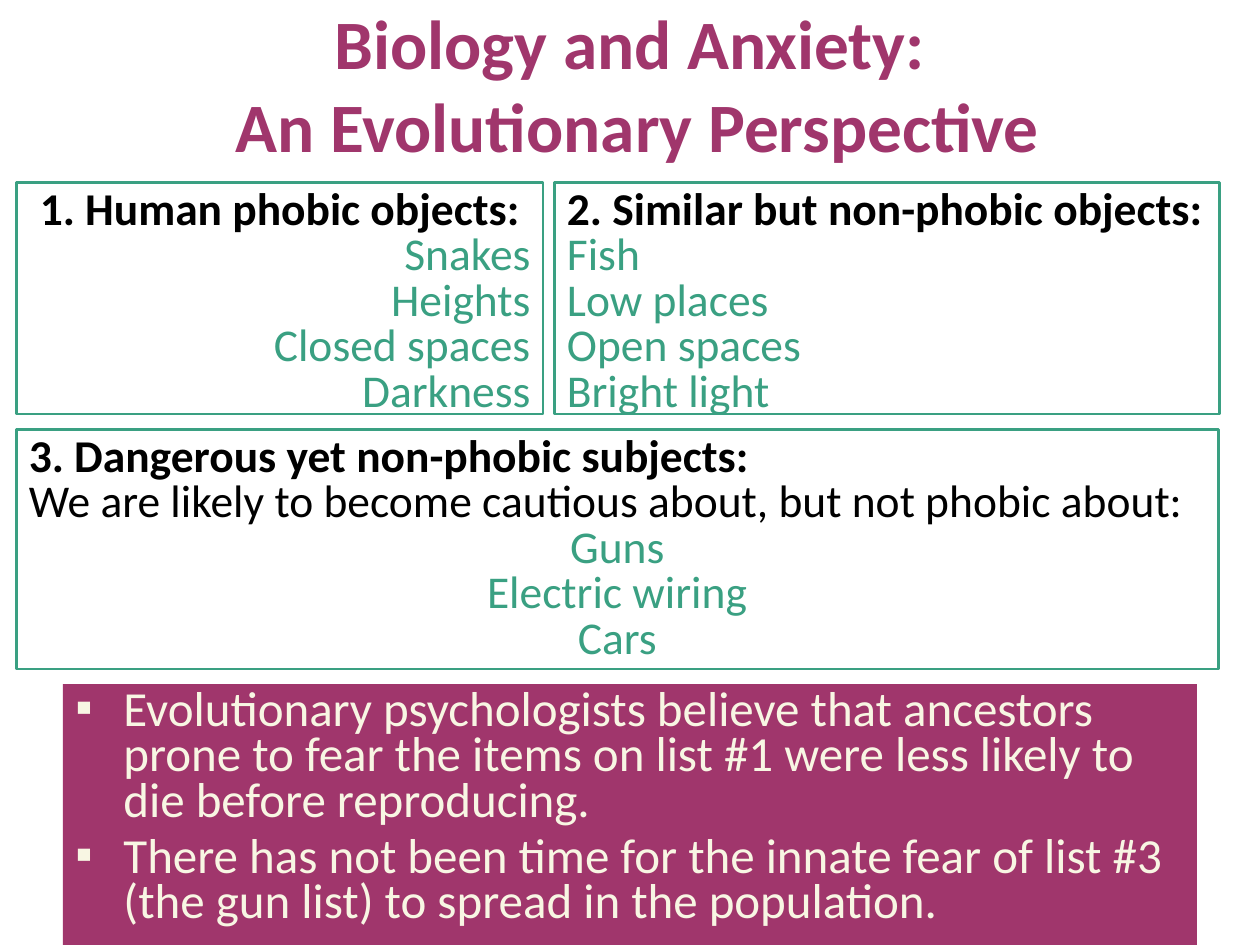
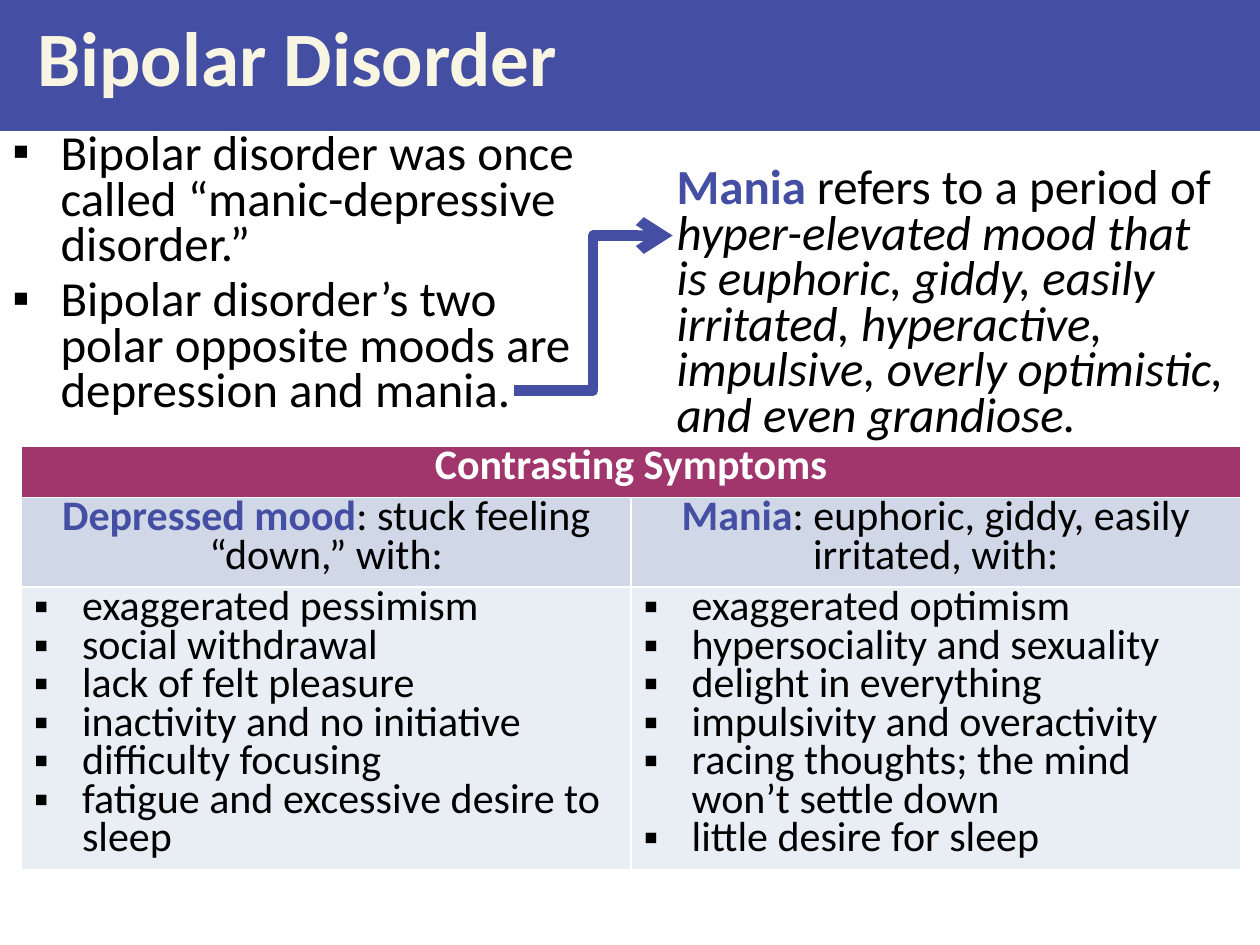
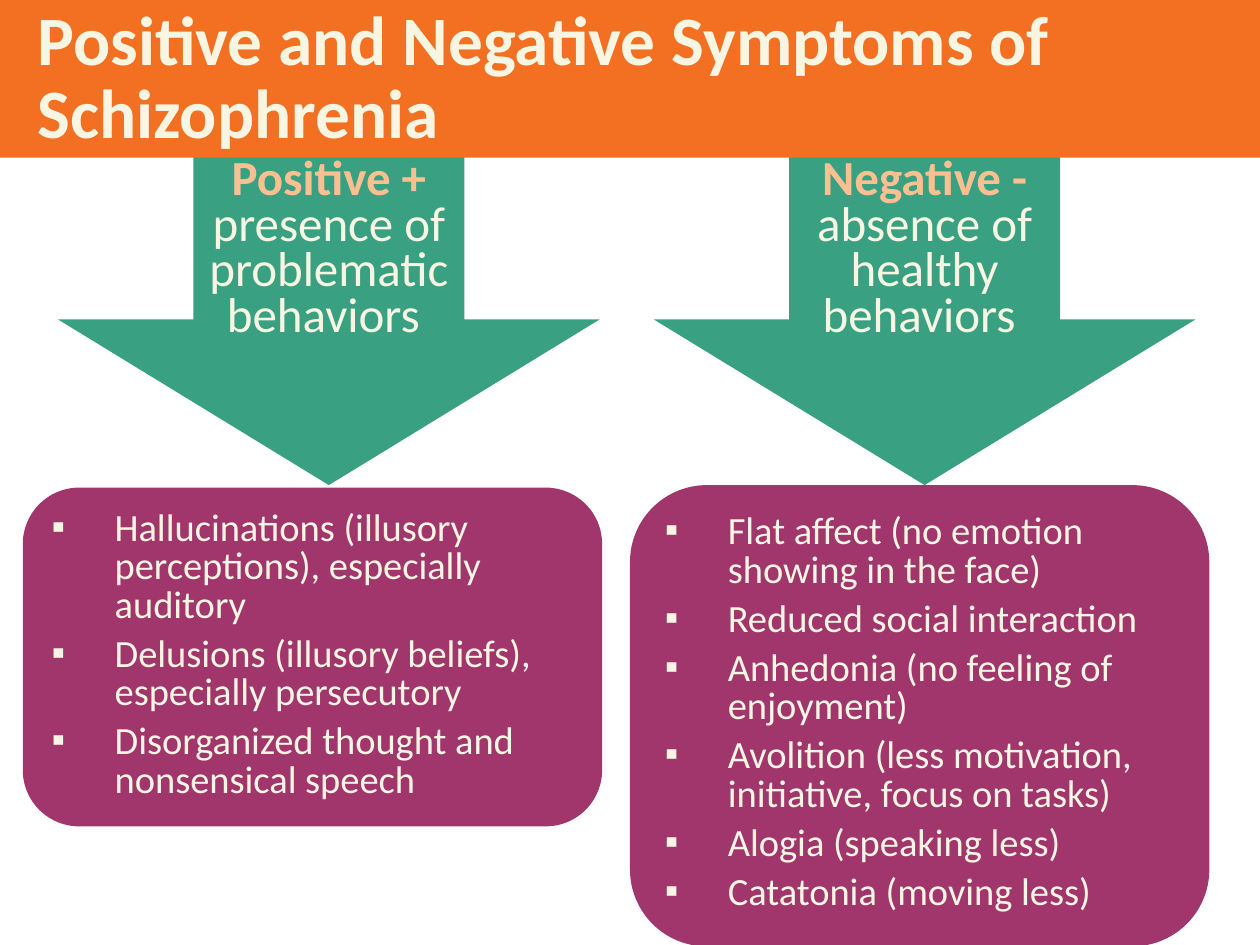
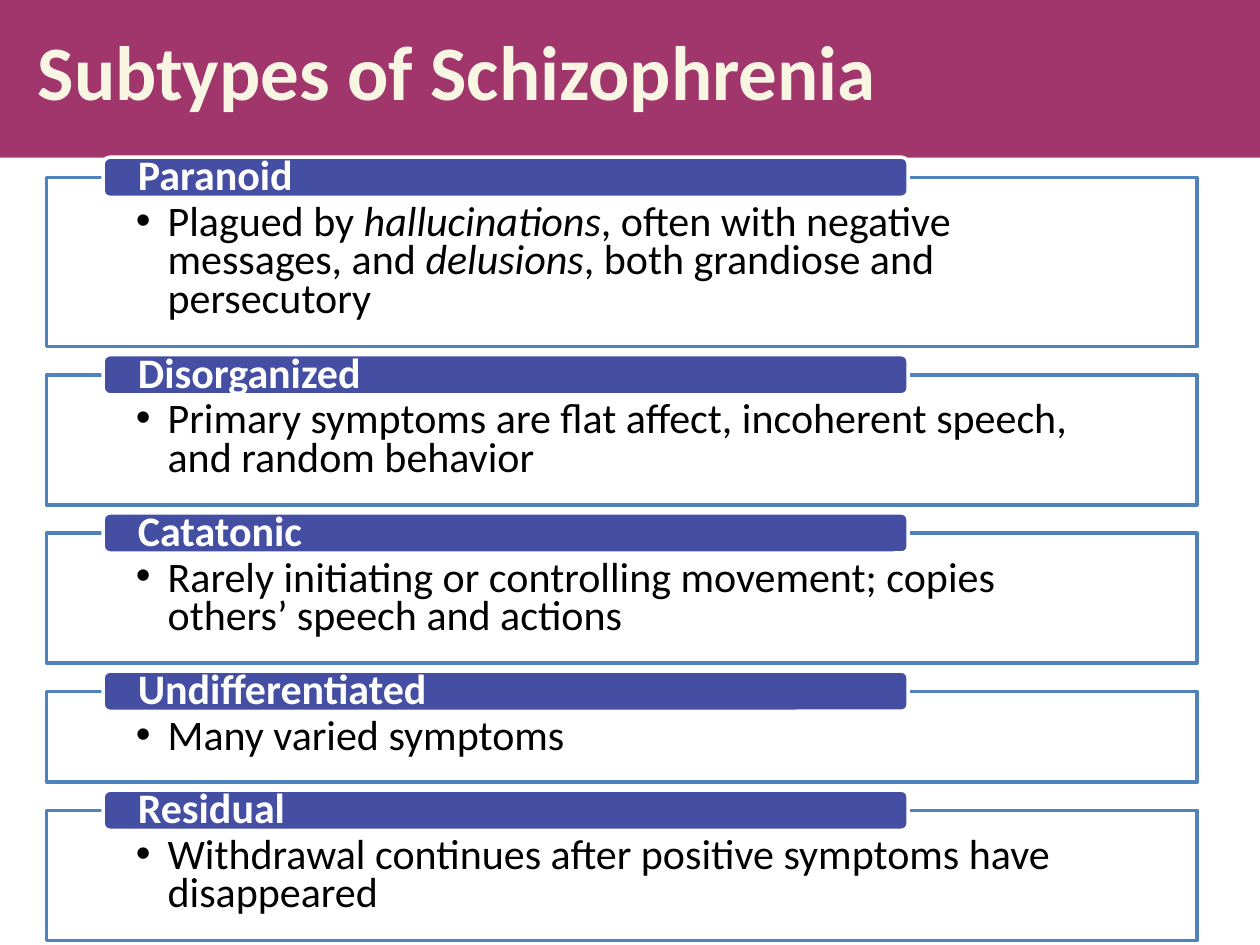
from lxml import etree
from pptx import Presentation
from pptx.dml.color import RGBColor
from pptx.enum.shapes import MSO_CONNECTOR, MSO_SHAPE
from pptx.enum.text import MSO_ANCHOR, MSO_AUTO_SIZE, PP_ALIGN
from pptx.oxml.ns import qn
from pptx.util import Cm, Pt

LEFT, CENTER, RIGHT = PP_ALIGN.LEFT, PP_ALIGN.CENTER, PP_ALIGN.RIGHT
TOP, MIDDLE = MSO_ANCHOR.TOP, MSO_ANCHOR.MIDDLE
RECTANGLE, ROUNDED = MSO_SHAPE.RECTANGLE, MSO_SHAPE.ROUNDED_RECTANGLE
DOWN_ARROW = MSO_SHAPE.DOWN_ARROW
ELBOW = MSO_CONNECTOR.ELBOW
NO_AUTOFIT = MSO_AUTO_SIZE.NONE

COLORS = {
    "purple": "A0366C",
    "green": "3AA082",
    "blue": "444EA2",
    "orange": "F36F21",
    "cream": "F8F6E3",
    "peach": "FAC090",
    "outline": "4F81BD",
    "subheading": "D0D8E8",
    "cell": "E9EDF4",
    "black": "000000",
    "white": "FFFFFF",
}
FONT = "Calibri"
SLIDE_WIDTH, SLIDE_HEIGHT = 25.4, 19.05
TALL_BANNER = 3.18
TITLE_AND_BODY, TITLE_ONLY = 1, 5
DEFAULT_INSETS = (0.25, 0.13, 0.25, 0.13)
SQUARE, DOT = "▪", "•"


def color(name):
    return RGBColor.from_string(COLORS[name])


def set_attributes(target, values):
    for name, value in values.items():
        setattr(target, name, value)


def set_bullet(paragraph, bullet, indent):
    properties = paragraph._p.get_or_add_pPr()
    properties.set("marL", str(Cm(indent)))
    properties.set("indent", str(-Cm(indent)))
    if bullet:
        etree.SubElement(properties, qn("a:buFont")).set("typeface", "Arial")
        etree.SubElement(properties, qn("a:buChar")).set("char", bullet)
    else:
        etree.SubElement(properties, qn("a:buNone"))


def write(frame, content, size, ink="black", bold=False, line=26, before=0,
          after=0, align=LEFT, bullet=None, indent=0):
    paragraph = frame.add_paragraph() if frame.text else frame.paragraphs[0]
    set_attributes(paragraph, {
        "alignment": align,
        "line_spacing": line,
        "space_before": Pt(before),
        "space_after": Pt(after),
    } if isinstance(line, float) else {
        "alignment": align,
        "line_spacing": Pt(line),
        "space_before": Pt(before),
        "space_after": Pt(after),
    })
    set_bullet(paragraph, bullet, indent)
    runs = [(content, {})] if isinstance(content, str) else content
    for text, changes in runs:
        style = {"ink": ink, "bold": bold, "italic": False, **changes}
        for index, piece in enumerate(text.split("\n")):
            if index:
                paragraph.add_line_break()
            run = paragraph.add_run()
            run.text = piece
            run.font.color.rgb = color(style["ink"])
            set_attributes(run.font, {
                "name": FONT,
                "size": Pt(size),
                "bold": style["bold"],
                "italic": style["italic"],
            })


def write_all(frame, items, **style):
    for item in items:
        write(frame, item, **style)


def paint(shape, fill=None, outline=None, width=1.5):
    if fill:
        shape.fill.solid()
        shape.fill.fore_color.rgb = color(fill)
    if outline:
        shape.line.color.rgb = color(outline)
        shape.line.width = Pt(width)
    else:
        shape.line.fill.background()


def prepare_frame(shape, anchor=TOP, insets=DEFAULT_INSETS):
    left, top, right, bottom = insets
    set_attributes(shape.text_frame, {
        "word_wrap": True,
        "auto_size": NO_AUTOFIT,
        "vertical_anchor": anchor,
        "margin_left": Cm(left),
        "margin_top": Cm(top),
        "margin_right": Cm(right),
        "margin_bottom": Cm(bottom),
    })
    return shape.text_frame


def place(shape, left, top, width, height):
    set_attributes(shape, {
        "left": Cm(left),
        "top": Cm(top),
        "width": Cm(width),
        "height": Cm(height),
    })
    return shape


def add_box(slide, kind, position, fill, outline=None, width=1.5,
            anchor=TOP, insets=DEFAULT_INSETS):
    shape = slide.shapes.add_shape(kind, *map(Cm, position))
    shape.shadow.inherit = False
    paint(shape, fill, outline, width)
    return prepare_frame(shape, anchor, insets)


def add_slide(presentation, layout):
    return presentation.slides.add_slide(presentation.slide_layouts[layout])


def add_banner(slide, text, fill, height=TALL_BANNER, size=44):
    title = place(slide.shapes.title, 0, 0, SLIDE_WIDTH, height)
    paint(title, fill)
    frame = prepare_frame(title, MIDDLE, (0.76, 0.13, 0.25, 0.13))
    write(frame, text, size, "cream", bold=True, line=42)
    return title


def add_elbow_arrow(slide, start, end):
    arrow = slide.shapes.add_connector(ELBOW, *map(Cm, start + end))
    arrow.line.color.rgb = color("blue")
    arrow.line.width = Pt(6)
    line = arrow.line._get_or_add_ln()
    etree.SubElement(line, qn("a:tailEnd")).set("type", "arrow")
    etree.SubElement(arrow._element.spPr, qn("a:effectLst"))


def add_symptom_table(slide, heading, columns):
    row_heights = (1.04, 1.8, 5.69)
    column_width = 12.29
    table = slide.shapes.add_table(
        3, 2, Cm(0.43), Cm(8.99), Cm(2 * column_width), Cm(sum(row_heights))
    ).table
    table.horz_banding = False
    for row, height in zip(table.rows, row_heights):
        row.height = Cm(height)
    for row, fill in enumerate(("purple", "subheading", "cell")):
        for column in range(2):
            cell = table.cell(row, column)
            cell.fill.solid()
            cell.fill.fore_color.rgb = color(fill)
    table.cell(0, 0).merge(table.cell(0, 1))
    write(table.cell(0, 0).text_frame, heading, 24, "white", bold=True,
          line=22, align=CENTER)
    for column, (mood, description, symptoms) in enumerate(columns):
        table.columns[column].width = Cm(column_width)
        write(table.cell(1, column).text_frame,
              [(mood, {"ink": "blue", "bold": True}), (description, {})],
              24, line=22, align=CENTER)
        write_all(table.cell(2, column).text_frame, symptoms, size=24,
                  line=22, bullet=SQUARE, indent=0.97)


def add_object_list(slide, left, width, heading, items, align):
    frame = add_box(slide, RECTANGLE, (left, 3.68, width, 4.67), "white", "green")
    write(frame, heading, 26, bold=True, align=align)
    write_all(frame, items, size=26, ink="green", align=align)


def add_symptom_arrow(slide, left, sign, meaning):
    frame = add_box(slide, DOWN_ARROW, (left, 3.1, 10.92, 6.68), "green")
    write(frame, [(sign, {"ink": "peach", "bold": True}), (meaning, {})],
          28, "cream", align=CENTER)


def add_symptom_panel(slide, left, top, height, symptoms):
    frame = add_box(slide, ROUNDED, (left, top, 11.68, height), "purple")
    write_all(frame, symptoms, size=22, ink="cream", line=22, after=6,
              bullet=SQUARE, indent=1.27)


def add_subtype(slide, top, height, name, description):
    body = add_box(slide, RECTANGLE, (0.94, top, 23.19, height), "white",
                   "outline", 2, insets=(1.8, 0.58, 1.8, 0.48))
    write(body, description, 24, line=22, bullet=DOT, indent=0.64)
    tab = add_box(slide, ROUNDED, (2.08, top - 0.41, 16.23, 0.81), "blue",
                  "white", 2, MIDDLE, (0.66, 0, 0.66, 0))
    write(tab, name, 24, "white", bold=True, line=0.9)


def build_evolution(presentation):
    slide = add_slide(presentation, TITLE_AND_BODY)
    title = place(slide.shapes.title, 1.27, 0.74, 22.86, 1.88)
    write(prepare_frame(title, MIDDLE),
          "Biology and Anxiety:\n An Evolutionary Perspective",
          39.6, "purple", bold=True, line=1.0, align=CENTER)

    dangers = place(slide.placeholders[1], 0.33, 8.66, 24.23, 4.83)
    paint(dangers, "white", "green")
    frame = prepare_frame(dangers)
    write(frame, "3. Dangerous yet non-phobic subjects:", 26, bold=True)
    write(frame, "We are likely to become cautious about, but not phobic about:", 26)
    write_all(frame, ["Guns", "Electric wiring", "Cars"],
              size=26, ink="green", align=CENTER)

    conclusion = add_box(slide, RECTANGLE, (1.27, 13.79, 22.86, 5.26), "purple")
    write_all(conclusion, [
        "Evolutionary psychologists believe that ancestors prone to fear the "
        "items on list #1 were less likely to die before reproducing.",
        "There has not been time for the innate fear of list #3 (the gun list) "
        "to spread in the population.",
    ], size=28, ink="cream", after=6, bullet=SQUARE, indent=0.97)

    add_object_list(slide, 0.33, 10.62, "1. Human phobic objects: ",
                    ["Snakes", "Heights", "Closed spaces", "Darkness"], RIGHT)
    add_object_list(slide, 11.18, 13.41, "2. Similar but non-phobic objects:",
                    ["Fish", "Low places", "Open spaces", "Bright light"], LEFT)


def build_bipolar(presentation):
    slide = add_slide(presentation, TITLE_AND_BODY)
    add_banner(slide, "Bipolar Disorder", "blue", height=2.64)
    body = place(slide.placeholders[1], 0, 2.59, 12.07, 3.53)
    write_all(prepare_frame(body), [
        "Bipolar disorder was once called “manic-depressive disorder.”",
        "Bipolar disorder’s two polar opposite moods are depression and mania.",
    ], size=28, before=5.6, bullet=SQUARE, indent=0.97)

    definition = slide.shapes.add_textbox(*map(Cm, (13.39, 3.28, 11.61, 5.82)))
    write(prepare_frame(definition), [
        ("Mania", {"ink": "blue", "bold": True}),
        (" refers to a period of ", {}),
        ("hyper-elevated mood that is euphoric, giddy, easily irritated, "
         "hyperactive, impulsive, overly optimistic, and even grandiose.",
         {"italic": True}),
    ], 28, before=5.6)
    add_elbow_arrow(slide, (10.36, 7.87), (13.56, 4.75))

    add_symptom_table(slide, "Contrasting Symptoms", [
        ("Depressed mood", ": stuck feeling “down,” with:", [
            "exaggerated pessimism",
            "social withdrawal",
            "lack of felt pleasure",
            "inactivity and no initiative",
            "difficulty focusing",
            "fatigue and excessive desire to sleep",
        ]),
        ("Mania", ": euphoric, giddy, easily irritated, with:", [
            "exaggerated optimism",
            "hypersociality and sexuality",
            "delight in everything",
            "impulsivity and overactivity",
            "racing thoughts; the mind won’t settle down",
            "little desire for sleep",
        ]),
    ])


def build_symptoms(presentation):
    slide = add_slide(presentation, TITLE_ONLY)
    add_symptom_arrow(slide, 1.17, "Positive + ",
                      "presence of problematic behaviors ")
    add_symptom_arrow(slide, 13.18, "Negative - ",
                      "absence of healthy behaviors ")
    add_symptom_panel(slide, 0.46, 9.83, 6.83, [
        "Hallucinations (illusory perceptions), especially auditory",
        "Delusions (illusory beliefs), especially persecutory",
        "Disorganized thought and nonsensical speech",
    ])
    add_symptom_panel(slide, 12.7, 9.78, 9.3, [
        "Flat affect (no emotion showing in the face)",
        "Reduced social interaction",
        "Anhedonia (no feeling of enjoyment)",
        "Avolition (less motivation, initiative, focus on tasks)",
        "Alogia (speaking less)",
        "Catatonia (moving less)",
    ])
    title = add_banner(slide, "Positive and Negative Symptoms of Schizophrenia",
                       "orange", size=39.6)
    title.element.getparent().append(title.element)


def build_subtypes(presentation):
    slide = add_slide(presentation, TITLE_ONLY)
    add_banner(slide, "Subtypes of Schizophrenia", "purple")
    subtypes = [
        ("Paranoid", 3, [
            ("Plagued by ", {}),
            ("hallucinations", {"italic": True}),
            (", often with negative messages, and ", {}),
            ("delusions", {"italic": True}),
            (", both grandiose and persecutory", {}),
        ]),
        ("Disorganized", 2,
         "Primary symptoms are flat affect, incoherent speech, and random behavior"),
        ("Catatonic", 2,
         "Rarely initiating or controlling movement; copies others’ speech and actions"),
        ("Undifferentiated", 1, "Many varied symptoms"),
        ("Residual", 2,
         "Withdrawal continues after positive symptoms have disappeared"),
    ]
    top, gap = 3.58, 0.57
    for name, line_count, description in subtypes:
        height = 1.04 + 0.79 * line_count
        add_subtype(slide, top, height, name, description)
        top += height + gap


def main():
    presentation = Presentation()
    presentation.slide_width = Cm(SLIDE_WIDTH)
    presentation.slide_height = Cm(SLIDE_HEIGHT)
    build_evolution(presentation)
    build_bipolar(presentation)
    build_symptoms(presentation)
    build_subtypes(presentation)
    presentation.save("out.pptx")


if __name__ == "__main__":
    main()
